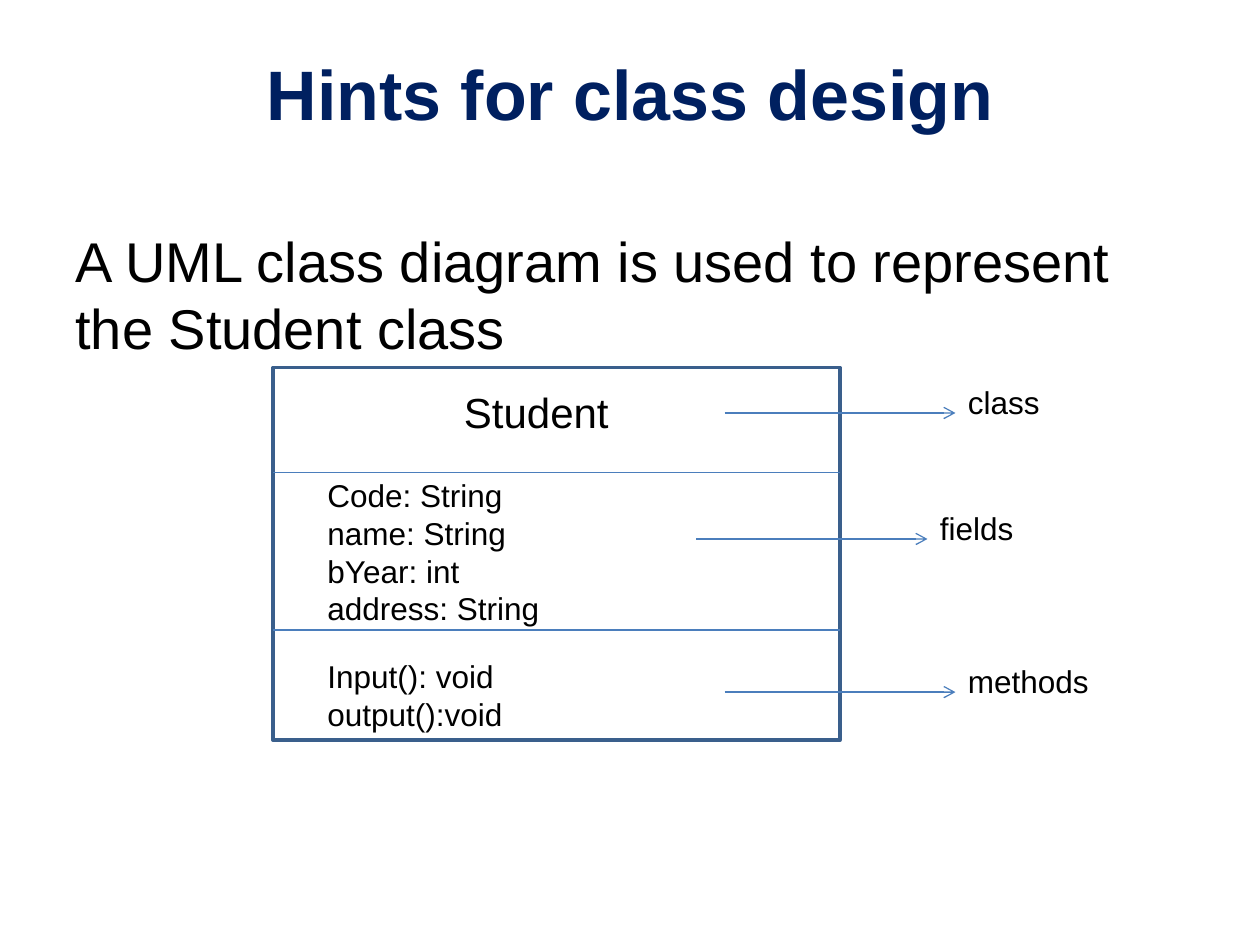
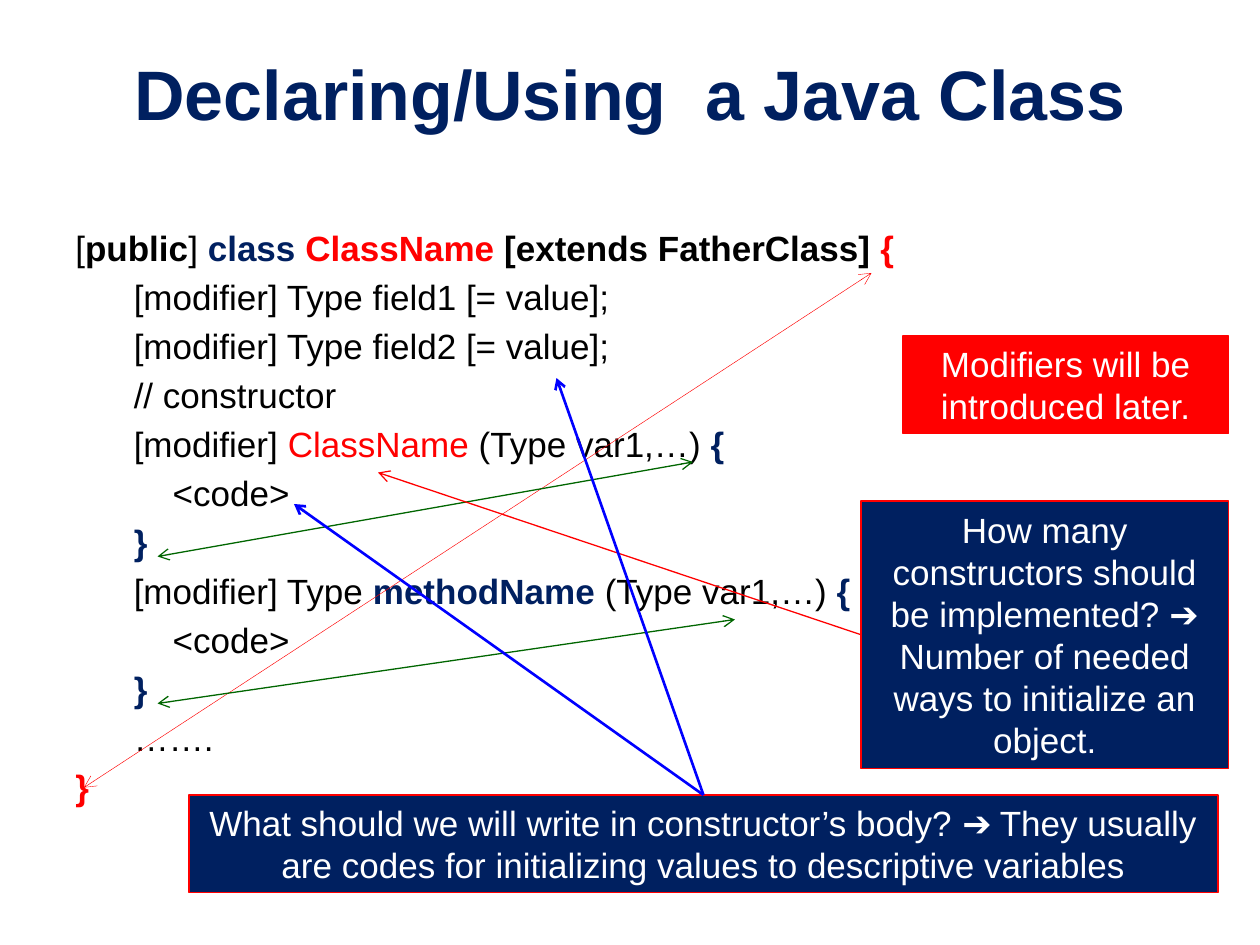
import pptx
import pptx.util
import pptx.dml.color
import pptx.enum.shapes
import pptx.enum.text
import pptx.oxml.ns
import lxml.etree

Pt = pptx.util.Pt
ALIGN = pptx.enum.text.PP_ALIGN
ANCHOR = pptx.enum.text.MSO_ANCHOR
FIT = pptx.enum.text.MSO_AUTO_SIZE

# Shared style
FONT = "Arial"
NAVY, BLACK, WHITE = "002060", "000000", "FFFFFF"
RED, GREEN, BLUE = "FF0000", "006600", "0000FF"
FRAME, STEEL = "3A5F8C", "4B7EBC"
BODY_LEFT, BODY_TOP, BODY_WIDTH = 36, 126, 648
INDENTS = (0, 33.4, 55.6)


def rgb(color):
    return pptx.dml.color.RGBColor.from_string(color)


def write(tf, paragraphs, size=20, color=BLACK, bold=False, align=ALIGN.LEFT,
          before=0, indents=None):
    """Fill a frame; a paragraph is a string or a list of (text, colour, bold)."""
    for i, runs in enumerate(paragraphs):
        p = tf.paragraphs[0] if i == 0 else tf.add_paragraph()
        p.alignment = align
        p.space_before = Pt(before)
        if indents:
            p._p.get_or_add_pPr().set("marL", str(Pt(indents[i])))
        if isinstance(runs, str):
            runs = [(runs, color, bold)]
        for text, run_color, run_bold in runs:
            r = p.add_run()
            r.text = text
            r.font.name = FONT
            r.font.size = Pt(size)
            r.font.bold = run_bold
            r.font.color.rgb = rgb(run_color)


def add_slide(prs, title):
    s = prs.slides.add_slide(prs.slide_layouts[5])
    sp = s.shapes.title
    sp.left, sp.top, sp.width, sp.height = Pt(36), Pt(21.6), Pt(648), Pt(62.6)
    tf = sp.text_frame
    tf.vertical_anchor = ANCHOR.MIDDLE
    write(tf, [title], size=40, color=NAVY, bold=True, align=ALIGN.CENTER)
    return s


def add_text(s, x, y, w, h, paragraphs, wrap=True, **fmt):
    tf = s.shapes.add_textbox(Pt(x), Pt(y), Pt(w), Pt(h)).text_frame
    tf.word_wrap = wrap
    if not wrap:
        tf.auto_size = FIT.SHAPE_TO_FIT_TEXT
    write(tf, paragraphs, **fmt)


def add_box(s, x, y, w, h, fill=None, line=RED, weight=0.75, text=None):
    sp = s.shapes.add_shape(pptx.enum.shapes.MSO_SHAPE.RECTANGLE,
                            Pt(x), Pt(y), Pt(w), Pt(h))
    sp.shadow.inherit = False
    if fill:
        sp.fill.solid()
        sp.fill.fore_color.rgb = rgb(fill)
    else:
        sp.fill.background()
    sp.line.color.rgb = rgb(line)
    sp.line.width = Pt(weight)
    if text:
        tf = sp.text_frame
        tf.word_wrap = True
        tf.auto_size = FIT.SHAPE_TO_FIT_TEXT
        tf.vertical_anchor = ANCHOR.MIDDLE
        write(tf, [text], color=WHITE, align=ALIGN.CENTER)


def add_line(s, start, end, color=STEEL, weight=0.75, arrows=()):
    """Draw a line; arrows names the ends (headEnd, tailEnd) that get a tip."""
    c = s.shapes.add_connector(pptx.enum.shapes.MSO_CONNECTOR.STRAIGHT,
                               *(Pt(v) for v in start + end))
    c.line.color.rgb = rgb(color)
    c.line.width = Pt(weight)
    qn = pptx.oxml.ns.qn
    ln = c.line._get_or_add_ln()
    for tip in arrows:
        lxml.etree.SubElement(ln, qn("a:" + tip)).set("type", "arrow")
    lxml.etree.SubElement(c._element.spPr, qn("a:effectLst"))


def build_uml_slide(prs):
    s = add_slide(prs, "Hints for class design")
    add_text(s, BODY_LEFT, BODY_TOP, BODY_WIDTH, 95.8,
             ["A UML class diagram is used to represent the Student class"],
             size=32, before=6.4)

    # Class box with its three compartments
    left, width = 156, 324
    add_box(s, left, 210, width, 213, line=FRAME, weight=2)
    for y in (270, 360):
        add_line(s, (left, y), (left + width, y))
    add_text(s, 258, 217.4, 98, 36, ["Student"], wrap=False, size=24)
    add_text(s, 180, 268.5, 276, 138,
             ["Code: String", "name: String", "bYear: int", "address: String"],
             size=18)
    add_text(s, 180, 372, 115, 51, ["Input(): void", "output():void"],
             wrap=False, size=18)

    # Labels pointed at by arrows
    for name, x, y, w in (("class", 414, 236, 56), ("fields", 398, 308, 57),
                          ("methods", 414, 395.5, 84)):
        tip = x + 132
        add_line(s, (x, y), (tip, y), arrows=["tailEnd"])
        add_text(s, tip, y - 20.6, w, 29, [name], wrap=False, size=18)


def build_syntax_slide(prs):
    s = add_slide(prs, "Declaring/Using  a Java Class")

    # Class skeleton: indent level and content of each line
    code = [
        (0, [("[", BLACK, False), ("public", BLACK, True), ("] ", BLACK, False),
             ("class ", NAVY, True), ("ClassName ", RED, True),
             ("[extends FatherClass] ", BLACK, True), ("{", RED, True)]),
        (1, "[modifier] Type field1 [= value];"),
        (1, "[modifier] Type field2 [= value];"),
        (1, "// constructor"),
        (1, [("[modifier] ", BLACK, False), ("ClassName", RED, False),
             (" (Type var1,…) ", BLACK, False), ("{", NAVY, True)]),
        (2, "<code>"),
        (1, [("}", NAVY, True)]),
        (1, [("[modifier] Type ", BLACK, False), ("methodName ", NAVY, True),
             ("(Type var1,…) ", BLACK, False), ("{", NAVY, True)]),
        (2, "<code>"),
        (1, [("}", NAVY, True)]),
        (1, "……."),
        (0, [("}", RED, True)]),
    ]
    add_text(s, BODY_LEFT, BODY_TOP, BODY_WIDTH, 356.4,
             [runs for _, runs in code], before=4,
             indents=[INDENTS[level] for level, _ in code])

    # Callouts
    add_box(s, 516, 192, 186, 55.7, fill=RED,
            text="Modifiers will be introduced later.")
    add_box(s, 492, 286.3, 210, 152.7, fill=NAVY,
            text="How many constructors should be implemented? ➔ "
                 "Number of needed ways to initialize an object.")
    add_box(s, 108, 454.3, 588, 55.7, fill=NAVY,
            text="What should we will write in constructor’s body? ➔ They "
                 "usually are codes for initializing values to descriptive "
                 "variables")

    # Double arrows join matching braces
    both = ["headEnd", "tailEnd"]
    add_line(s, (48, 450), (498, 156), RED, 0.25, both)
    add_line(s, (90, 318), (396, 264), GREEN, arrows=both)
    add_line(s, (90, 402), (420, 354), GREEN, arrows=both)

    # Single arrows lead from callouts to code
    add_line(s, (492, 362.7), (216, 270), RED, arrows=["tailEnd"])
    for target in ((168, 288), (318, 216)):
        add_line(s, (402, 454.3), target, BLUE, 1.5, ["tailEnd"])


def main():
    prs = pptx.Presentation()
    prs.slide_width, prs.slide_height = Pt(720), Pt(540)
    build_uml_slide(prs)
    build_syntax_slide(prs)
    prs.save("out.pptx")


main()
